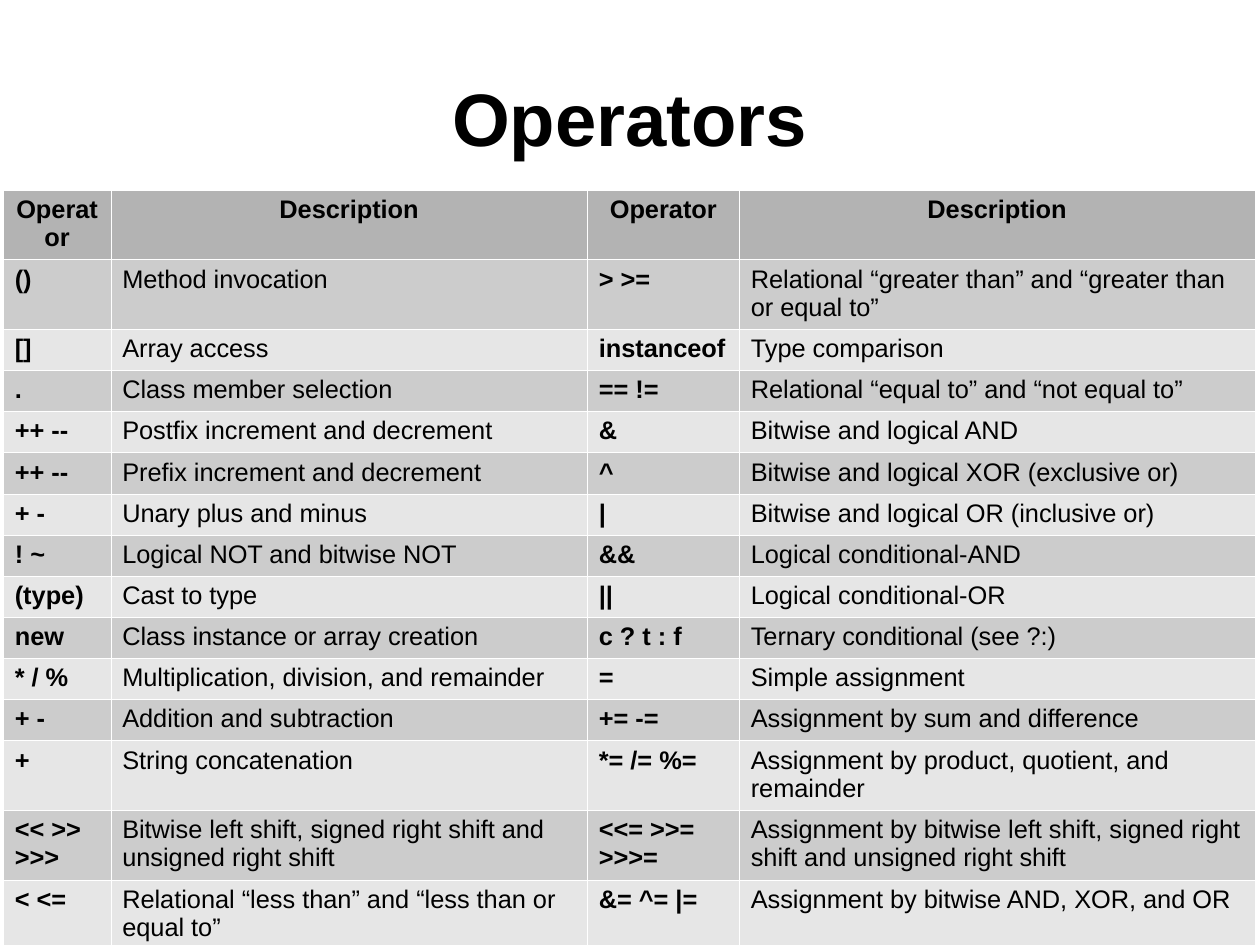
from dataclasses import dataclass

from lxml.etree import SubElement
from pptx import Presentation
from pptx.dml.color import RGBColor
from pptx.enum.text import MSO_ANCHOR, PP_ALIGN
from pptx.oxml.ns import qn
from pptx.util import Inches, Pt

TITLE = "Operators"
ROWS = [
    ("Operator", "Description", "Operator", "Description"),
    ("()", "Method invocation", "> >=", "Relational “greater than” and “greater than or equal to”"),
    ("[]", "Array access", "instanceof", "Type comparison"),
    (".", "Class member selection", "== !=", "Relational “equal to” and “not equal to”"),
    ("++ --", "Postfix increment and decrement", "&", "Bitwise and logical AND"),
    ("++ --", "Prefix increment and decrement", "^", "Bitwise and logical XOR (exclusive or)"),
    ("+ -", "Unary plus and minus", "|", "Bitwise and logical OR (inclusive or)"),
    ("! ~", "Logical NOT and bitwise NOT", "&&", "Logical conditional-AND"),
    ("(type)", "Cast to type", "||", "Logical conditional-OR"),
    ("new", "Class instance or array creation", "c ? t : f", "Ternary conditional (see ?:)"),
    ("* / %", "Multiplication, division, and remainder", "=", "Simple assignment"),
    ("+ -", "Addition and subtraction", "+= -=", "Assignment by sum and difference"),
    ("+", "String concatenation", "*= /= %=", "Assignment by product, quotient, and remainder"),
    ("<< >> >>>", "Bitwise left shift, signed right shift and unsigned right shift",
     "<<= >>= >>>=", "Assignment by bitwise left shift, signed right shift and unsigned right shift"),
    ("< <=", "Relational “less than” and “less than or equal to”",
     "&= ^= |=", "Assignment by bitwise AND, XOR, and OR"),
]
SLIDE_SIZE = (Pt(793.75), Pt(595.25))
COL_WIDTHS = (0.94, 4.17, 1.33, 4.51)
TWO_LINE_ROWS = {0, 1, 12, 13, 14}
ONE_LINE, TWO_LINE = 0.36, 0.61


@dataclass(frozen=True)
class Theme:
    font: str = "Arial"
    title_size: float = 46.8
    cell_size: float = 16
    text: str = "000000"
    header: str = "B3B3B3"
    bands: tuple = ("E6E6E6", "CCCCCC")
    border: str = "FFFFFF"
    border_width: float = 0.06


THEME = Theme()


def style(p, size, bold, align):
    p.alignment = align
    p.font.name = THEME.font
    p.font.size = Pt(size)
    p.font.bold = bold
    p.font.color.rgb = RGBColor.from_string(THEME.text)


def add_borders(cell):
    props = cell._tc.get_or_add_tcPr()
    for side in ("a:lnL", "a:lnR", "a:lnT", "a:lnB"):
        ln = SubElement(props, qn(side), w=str(int(Pt(THEME.border_width))))
        fill = SubElement(ln, qn("a:solidFill"))
        SubElement(fill, qn("a:srgbClr"), val=THEME.border)


def add_title(s):
    sp = s.shapes.add_textbox(Inches(0.55), Inches(0.33), Inches(9.92), Inches(1.38))
    tf = sp.text_frame
    tf.word_wrap = True
    tf.vertical_anchor = MSO_ANCHOR.MIDDLE
    tf.margin_left = tf.margin_right = tf.margin_top = tf.margin_bottom = 0
    tf.text = TITLE
    style(tf.paragraphs[0], THEME.title_size, True, PP_ALIGN.CENTER)


def add_operator_table(s):
    heights = [TWO_LINE if i in TWO_LINE_ROWS else ONE_LINE for i in range(len(ROWS))]
    table = s.shapes.add_table(
        len(ROWS), len(COL_WIDTHS), Inches(0.03), Inches(1.66),
        Inches(sum(COL_WIDTHS)), Inches(sum(heights)),
    ).table
    for col, width in zip(table.columns, COL_WIDTHS):
        col.width = Inches(width)
    for i, (row, height, texts) in enumerate(zip(table.rows, heights, ROWS)):
        row.height = Inches(height)
        is_header = i == 0
        color = THEME.header if is_header else THEME.bands[i % 2]
        align = PP_ALIGN.CENTER if is_header else PP_ALIGN.LEFT
        for j, (cell, text) in enumerate(zip(row.cells, texts)):
            add_borders(cell)
            cell.fill.solid()
            cell.fill.fore_color.rgb = RGBColor.from_string(color)
            cell.margin_left = cell.margin_right = Inches(0.1)
            cell.margin_top = cell.margin_bottom = Inches(0.05)
            cell.text = text
            style(cell.text_frame.paragraphs[0], THEME.cell_size, is_header or j % 2 == 0, align)


def main():
    prs = Presentation()
    prs.slide_width, prs.slide_height = SLIDE_SIZE
    s = prs.slides.add_slide(prs.slide_layouts[6])
    add_operator_table(s)
    add_title(s)
    prs.save("out.pptx")


if __name__ == "__main__":
    main()
